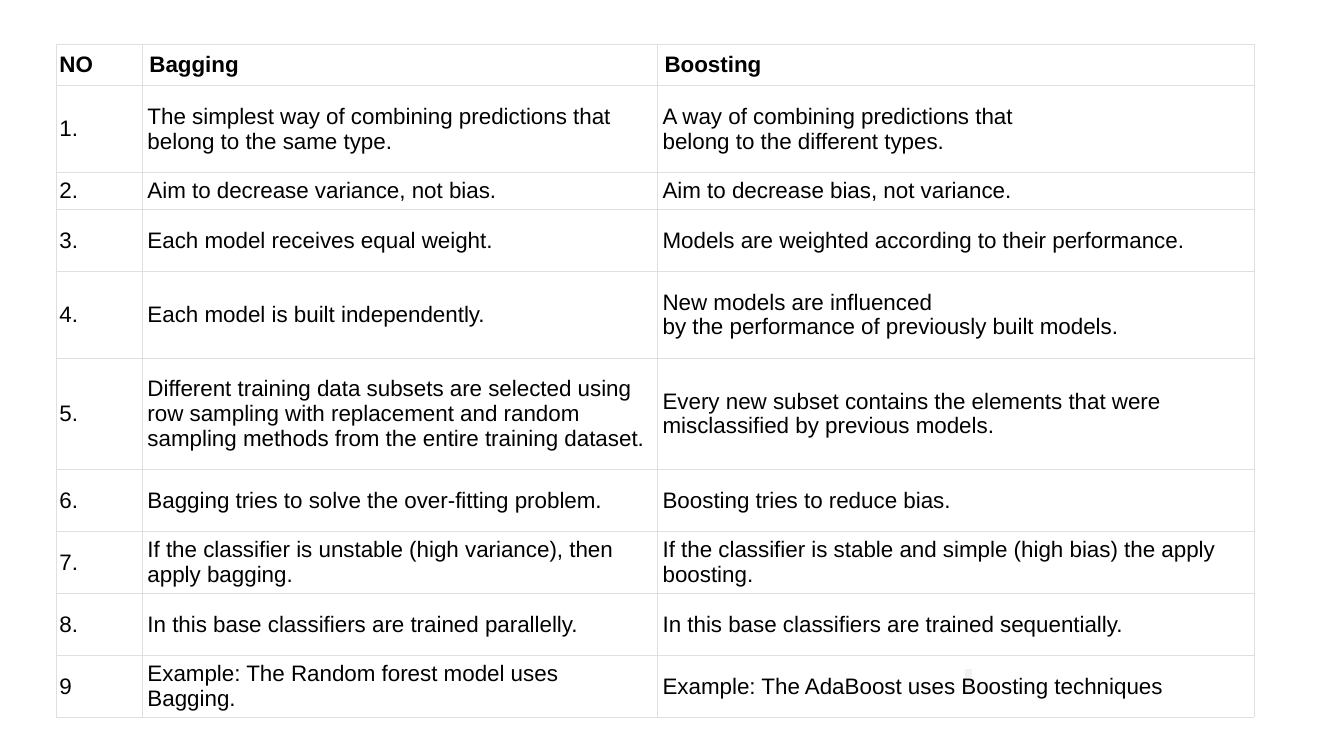
from lxml.etree import SubElement as Sub
from pptx import Presentation
from pptx.dml.color import RGBColor as RGB
from pptx.enum.shapes import MSO_SHAPE as Kind
from pptx.enum.text import MSO_ANCHOR as Anchor
from pptx.oxml.ns import qn
from pptx.util import Inches, Pt

# "\v" marks a line break inside a paragraph.
ROWS = [
    ("NO", "Bagging", "Boosting"),
    ("1.", "The simplest way of combining predictions that\vbelong to the same type.",
     "A way of combining predictions that\vbelong to the different types."),
    ("2.", "Aim to decrease variance, not bias.", "Aim to decrease bias, not variance."),
    ("3.", "Each model receives equal weight.",
     "Models are weighted according to their performance."),
    ("4.", "Each model is built independently.",
     "New models are influenced\vby the performance of previously built models."),
    ("5.", "Different training data subsets are selected using row sampling with "
     "replacement and random sampling methods from the entire training dataset.",
     "Every new subset contains the elements that were misclassified by previous models."),
    ("6.", "Bagging tries to solve the over-fitting problem.",
     "Boosting tries to reduce bias."),
    ("7.", "If the classifier is unstable (high variance), then apply bagging.",
     "If the classifier is stable and simple (high bias) the apply boosting."),
    ("8.", "In this base classifiers are trained parallelly.",
     "In this base classifiers are trained sequentially."),
    ("9", "Example: The Random forest model uses Bagging.",
     "Example: The AdaBoost uses Boosting techniques"),
]
# Shares of the slide's size, in percent
WIDTHS = [6.4, 38.33, 44.4]
HEIGHTS = [5.5, 11.5, 4.9, 8.2, 11.5, 14.7, 8.2, 8.2, 8.2, 8.2]


def tint(code):
    return RGB.from_string(code)


class Deck:
    """Holds the style and the current slide; lengths are percent of the slide."""
    font, size, ink, rule = "Arial", 16, "000000", "DFDFDF"

    def __init__(self, wide, high):
        self.prs = Presentation()
        self.prs.slide_width, self.prs.slide_height = Inches(wide), Inches(high)
        self.slide = self.prs.slides.add_slide(self.prs.slide_layouts[6])

    def across(self, part):
        return round(self.prs.slide_width * part / 100)

    def down(self, part):
        return round(self.prs.slide_height * part / 100)

    def block(self, left, top, wide, high, fill):
        box = self.slide.shapes.add_shape(
            Kind.RECTANGLE, self.across(left), self.down(top),
            self.across(wide), self.down(high))
        box.shadow.inherit = False
        box.fill.solid()
        box.fill.fore_color.rgb = tint(fill)
        box.line.fill.background()

    def table(self, left, top, widths, heights, rows):
        grid = self.slide.shapes.add_table(
            len(rows), len(widths), self.across(left), self.down(top),
            self.across(sum(widths)), self.down(sum(heights))).table
        grid.horz_banding = grid.first_row = False
        for col, wide in zip(grid.columns, widths):
            col.width = self.across(wide)
        for row, high in zip(grid.rows, heights):
            row.height = self.down(high)
        for r, texts in enumerate(rows):
            for c, text in enumerate(texts):
                self.cell(grid.cell(r, c), text, head=r == 0, first=c == 0)

    def cell(self, cell, text, head, first):
        pad = 0.07 if head else 0.05
        cell.margin_top = cell.margin_bottom = Inches(pad)
        cell.margin_left = cell.margin_right = Inches(0.03 if first else pad)
        cell.vertical_anchor = Anchor.MIDDLE
        self.edge(cell)
        cell.fill.background()
        cell.text_frame.text = text
        for run in cell.text_frame.paragraphs[0].runs:
            font = run.font
            font.name, font.size, font.bold = self.font, Pt(self.size), head
            font.color.rgb = tint(self.ink)

    def edge(self, cell):
        """Draw a thin line on all four sides of a cell."""
        props = cell._tc.get_or_add_tcPr()
        for side in ("lnL", "lnR", "lnT", "lnB"):
            line = Sub(props, qn("a:" + side), w=str(Pt(0.18)))
            Sub(Sub(line, qn("a:solidFill")), qn("a:srgbClr"), val=self.rule)

    def save(self):
        self.prs.save("out.pptx")


def main():
    deck = Deck(13.33, 7.5)
    deck.block(71.8, 88.5, 0.53, 3.07, "F2F2F2")
    deck.table(4.2, 5.8, WIDTHS, HEIGHTS, ROWS)
    deck.save()


if __name__ == "__main__":
    main()
